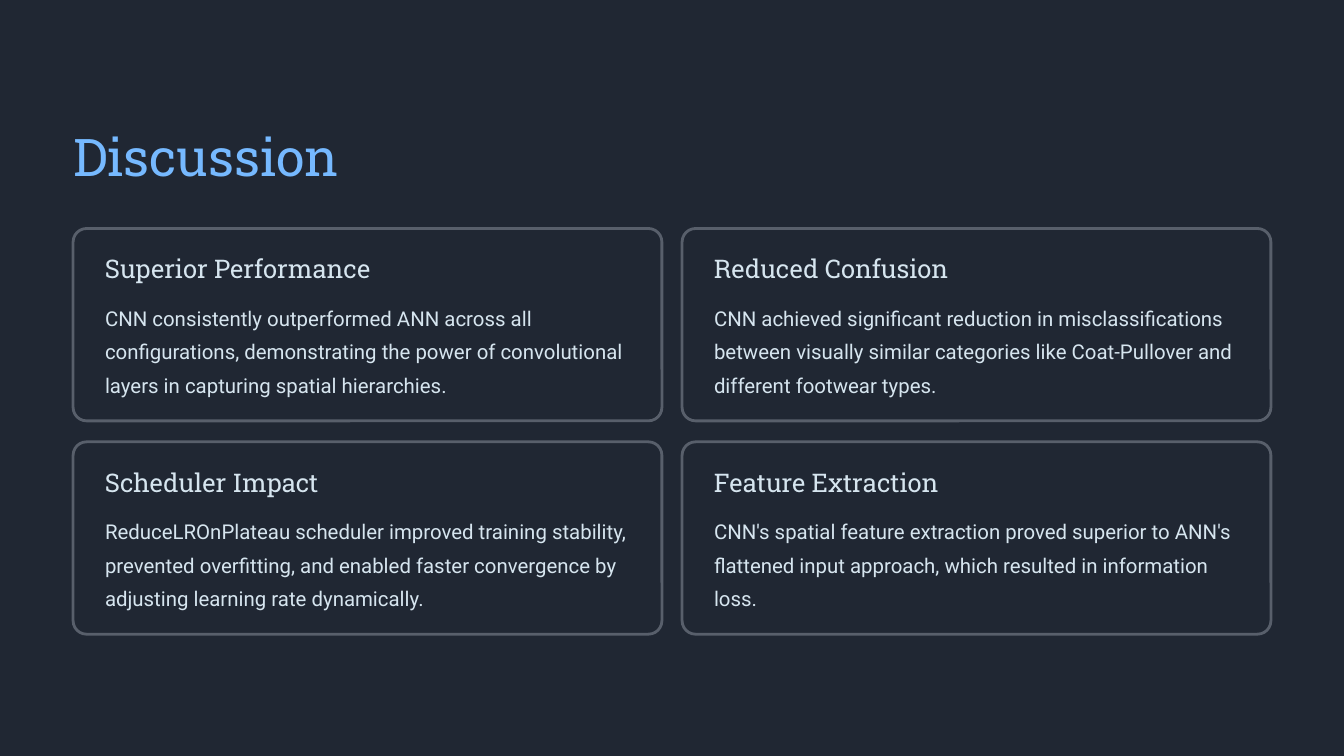
from pptx import Presentation
from pptx.dml.color import RGBColor
from pptx.enum.shapes import MSO_SHAPE
from pptx.util import Inches, Pt

NAVY, GREY, BLUE, PALE = "202733", "585F6B", "76B9FF", "D6E5EF"


def paint(fill, color):
    fill.solid()
    fill.fore_color.rgb = RGBColor.from_string(color)


def add_text(left, top, width, height, text, font, size, spacing, color, wrap=False):
    box = page.shapes.add_textbox(Inches(left), Inches(top), Inches(width), Inches(height))
    frame = box.text_frame
    frame.margin_left = frame.margin_top = frame.margin_right = frame.margin_bottom = 0
    frame.word_wrap = wrap
    para = frame.paragraphs[0]
    para.text = text
    para.line_spacing = Pt(spacing)
    para.font.name = font
    para.font.size = Pt(size)
    paint(para.font.fill, color)


deck = Presentation()
deck.slide_width = Inches(16)
deck.slide_height = Inches(9)
page = deck.slides.add_slide(deck.slide_layouts[6])
paint(page.background.fill, NAVY)

add_text(0.87, 1.45, 6.2, 0.78, "Discussion", "Roboto Slab", 44.5, 55.5, BLUE)

cards = [
    ("Superior Performance",
     "CNN consistently outperformed ANN across all configurations, demonstrating "
     "the power of convolutional layers in capturing spatial hierarchies."),
    ("Reduced Confusion",
     "CNN achieved significant reduction in misclassifications between visually "
     "similar categories like Coat-Pullover and different footwear types."),
    ("Scheduler Impact",
     "ReduceLROnPlateau scheduler improved training stability, prevented overfitting, "
     "and enabled faster convergence by adjusting learning rate dynamically."),
    ("Feature Extraction",
     "CNN's spatial feature extraction proved superior to ANN's flattened input "
     "approach, which resulted in information loss."),
]

for index, (heading, body) in enumerate(cards):
    row, column = divmod(index, 2)
    left = 0.87 + 7.25 * column
    top = 2.72 + 2.54 * row
    card = page.shapes.add_shape(
        MSO_SHAPE.ROUNDED_RECTANGLE, Inches(left), Inches(top), Inches(7.01), Inches(2.29))
    card.adjustments[0] = 0.07
    card.shadow.inherit = False
    paint(card.fill, NAVY)
    paint(card.line.fill, GREY)
    card.line.width = Pt(2.4)
    add_text(left + 0.38, top + 0.28, 3.2, 0.39, heading, "Roboto Slab", 22, 27.5, PALE)
    add_text(left + 0.38, top + 0.82, 6.35, 1.19, body, "Roboto", 17.5, 28.5, PALE, wrap=True)

deck.save("out.pptx")
